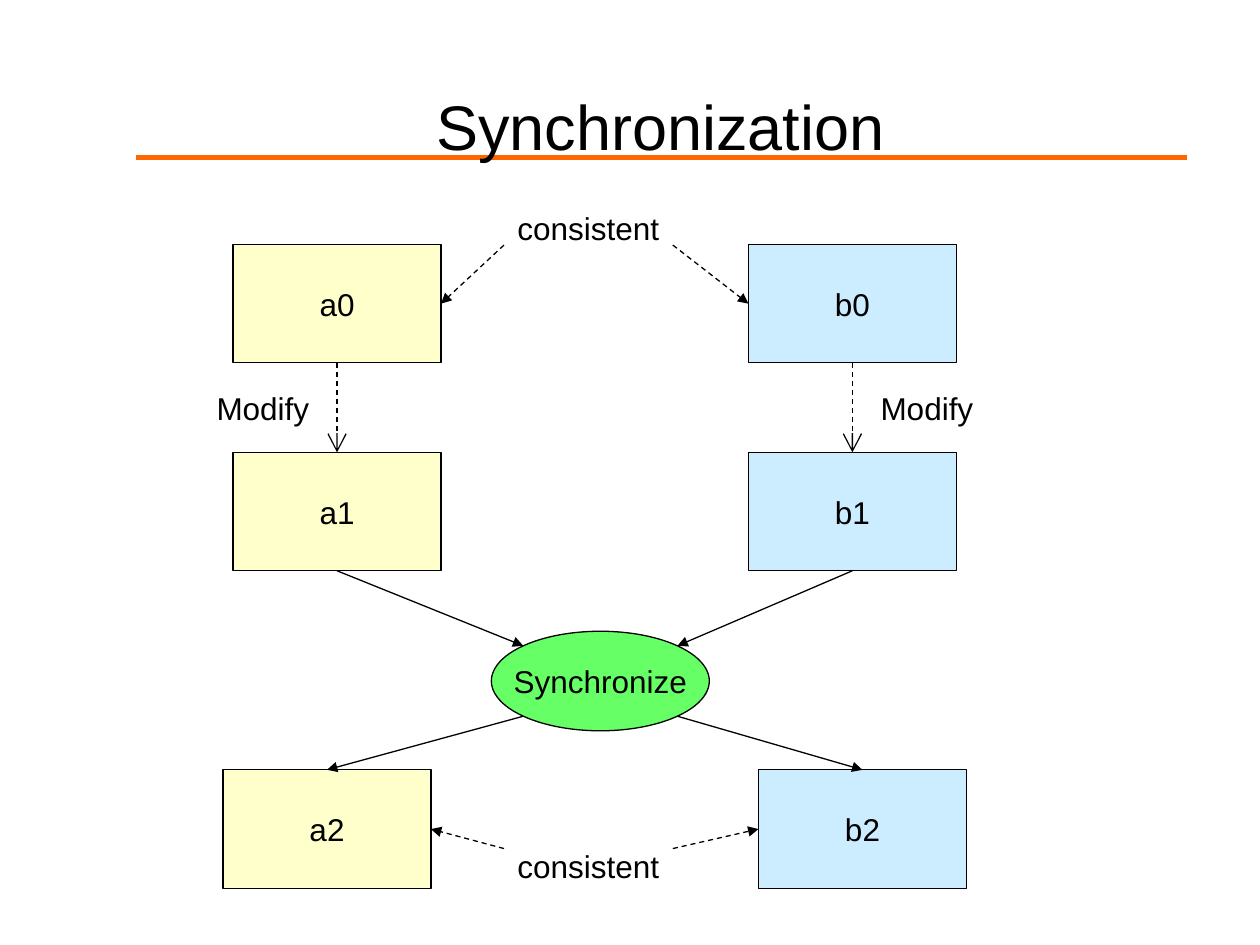
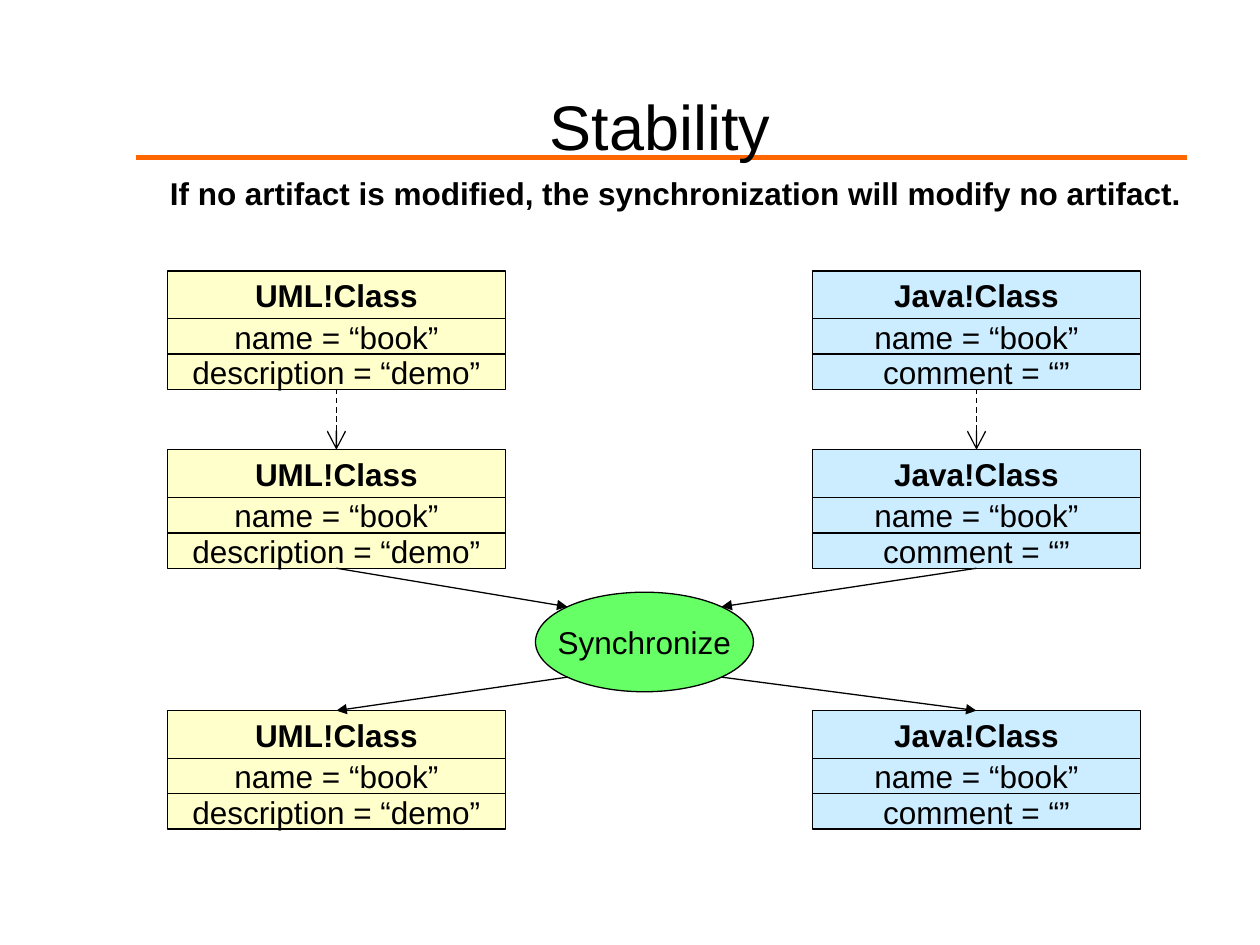
from lxml.etree import SubElement
from pptx import Presentation
from pptx.dml.color import RGBColor
from pptx.enum.dml import MSO_LINE
from pptx.enum.shapes import MSO_CONNECTOR, MSO_SHAPE
from pptx.enum.text import MSO_ANCHOR, MSO_AUTO_SIZE, PP_ALIGN
from pptx.oxml.ns import qn
from pptx.util import Inches, Pt

COLORS = {
    "ink": "000000",
    "rule": "FF6600",
    "left": "FFFFCC",
    "right": "CCECFF",
    "sync": "66FF66",
}
FONT = "Arial"
TITLE_ONLY = 5
TOP, LEFT, BOTTOM, RIGHT = range(4)
OVAL_SIZE = (1.73, 0.79)
DIAGONAL = 0.5 ** 0.5


def color(name):
    """Return the named colour."""
    return RGBColor.from_string(COLORS[name])


def style_text(shape, text, size=18, bold=False, align=PP_ALIGN.CENTER, anchor=MSO_ANCHOR.MIDDLE):
    """Write one formatted line of text into a shape."""
    frame = shape.text_frame
    frame.text = text
    frame.word_wrap = False
    frame.vertical_anchor = anchor
    paragraph = frame.paragraphs[0]
    paragraph.alignment = align
    paragraph.font.name = FONT
    paragraph.font.size = Pt(size)
    paragraph.font.bold = bold
    paragraph.font.color.rgb = color("ink")


def add_node(shapes, kind, box, text, fill, bold=False):
    """Add an outlined, filled shape with centred text."""
    node = shapes.add_shape(kind, *map(Inches, box))
    node.shadow.inherit = False
    node.fill.solid()
    node.fill.fore_color.rgb = color(fill)
    node.line.color.rgb = color("ink")
    node.line.width = Pt(0.75)
    style_text(node, text, bold=bold)
    return node


def add_label(slide, box, text, bold=False):
    """Add a left-aligned text box that fits its text."""
    label = slide.shapes.add_textbox(*map(Inches, box))
    style_text(label, text, bold=bold, align=PP_ALIGN.LEFT, anchor=MSO_ANCHOR.TOP)
    label.text_frame.auto_size = MSO_AUTO_SIZE.SHAPE_TO_FIT_TEXT


def add_line(slide, start, end, line_color="ink", width=0.75):
    """Add a plain straight line without a shadow."""
    line = slide.shapes.add_connector(MSO_CONNECTOR.STRAIGHT, *map(Inches, (*start, *end)))
    line.line.color.rgb = color(line_color)
    line.line.width = Pt(width)
    SubElement(line.element.spPr, qn("a:effectLst"))
    return line


def add_arrow(slide, start=(0, 0), end=(0, 0), source=None, target=None, dashed=False,
              head="triangle", head_size="med"):
    """Add an arrow between points or (shape, side) joints."""
    arrow = add_line(slide, start, end)
    if source:
        arrow.begin_connect(*source)
    if target:
        arrow.end_connect(*target)
    if dashed:
        arrow.line.dash_style = MSO_LINE.DASH
    line = arrow.element.spPr.find(qn("a:ln"))
    SubElement(line, qn("a:tailEnd"), type=head, w=head_size, len=head_size)


def add_modification(slide, before, after):
    """Join two states of an artifact with a dashed open arrow."""
    add_arrow(slide, source=(before, BOTTOM), target=(after, TOP), dashed=True,
              head="arrow", head_size="lg")


def add_synchronizer(slide, left, top, inputs, outputs):
    """Draw the oval with arrows from its inputs and to its outputs."""
    width, height = OVAL_SIZE
    add_node(slide.shapes, MSO_SHAPE.OVAL, (left, top, width, height), "Synchronize", "sync")
    middle_x, middle_y = left + width / 2, top + height / 2
    reach_x, reach_y = width / 2 * DIAGONAL, height / 2 * DIAGONAL
    for side, source, target in zip((-1, 1), inputs, outputs):
        x = middle_x + side * reach_x
        add_arrow(slide, end=(x, middle_y - reach_y), source=(source, BOTTOM))
        add_arrow(slide, start=(x, middle_y + reach_y), target=(target, TOP))


def add_consistency(slide, box, anchor, pair):
    """Draw the word "consistent" with dashed arrows to both artifacts."""
    left, top, width, height = box
    label = slide.shapes.add_shape(MSO_SHAPE.ROUNDED_RECTANGLE, *map(Inches, box))
    label.shadow.inherit = False
    label.fill.background()
    label.line.fill.background()
    style_text(label, "consistent", anchor=anchor)
    label.text_frame.margin_top = label.text_frame.margin_bottom = Inches(0.07)
    for x, artifact, side in zip((left, left + width), pair, (RIGHT, LEFT)):
        add_arrow(slide, start=(x, top + height / 2), target=(artifact, side), dashed=True)


def add_class_box(slide, left, top, width, rows, fill):
    """Stack a class name and its attributes; return the first and last rows."""
    group = slide.shapes.add_group_shape()
    cells = []
    for index, text in enumerate(rows):
        height = 0.28 if index else 0.38
        box = (left, top, width, height)
        cells.append(add_node(group.shapes, MSO_SHAPE.RECTANGLE, box, text, fill, bold=index == 0))
        top += height
    return cells[0], cells[-1]


def add_layout_rule(slide):
    """Draw the orange rule and move it to the layout the slides share."""
    rule = add_line(slide, (1.08, 1.25), (9.42, 1.25), "rule", 2.75)
    slide.slide_layout.shapes.element.append(rule.element)


def add_titled_slide(presentation, text):
    """Add a slide with the shared title style."""
    slide = presentation.slides.add_slide(presentation.slide_layouts[TITLE_ONLY])
    title = slide.shapes.title
    title.left, title.top, title.width, title.height = map(Inches, (0.91, 0.6, 8.66, 0.79))
    style_text(title, text, size=36)
    title.text_frame.word_wrap = True
    return slide


def build_synchronization(presentation):
    """Build the slide with the general synchronization scheme."""
    slide = add_titled_slide(presentation, "Synchronization")
    add_layout_rule(slide)
    rows = []
    for index, (top, spread) in enumerate(((1.94, 0), (3.59, 0), (6.11, 0.08))):
        rows.append([
            add_node(slide.shapes, MSO_SHAPE.RECTANGLE, (left, top, 1.65, 0.94), f"{letter}{index}", fill)
            for letter, left, fill in (("a", 1.85 - spread, "left"), ("b", 5.94 + spread, "right"))
        ])
    initial, modified, synchronized = rows
    for before, after, label_left in zip(initial, modified, (1.62, 6.89)):
        add_modification(slide, before, after)
        add_label(slide, (label_left, 3.04, 0.95, 0.4), "Modify")
    add_synchronizer(slide, 3.9, 5.01, modified, synchronized)
    add_consistency(slide, (4, 1.55, 1.34, 0.79), MSO_ANCHOR.TOP, initial)
    add_consistency(slide, (4, 6.34, 1.34, 0.79), MSO_ANCHOR.BOTTOM, synchronized)


def build_stability(presentation):
    """Build the slide with the stability example."""
    slide = add_titled_slide(presentation, "Stability")
    add_label(
        slide, (1.25, 1.33, 8.23, 0.4),
        "If no artifact is modified, the synchronization will modify no artifact.", bold=True,
    )
    columns = (
        (1.33, 2.68, ("UML!Class", "name = “book”", "description = “demo”"), "left"),
        (6.45, 2.6, ("Java!Class", "name = “book”", "comment = “”"), "right"),
    )
    inputs, outputs = [], []
    for left, width, rows, fill in columns:
        initial, modified, synchronized = [
            add_class_box(slide, left, top, width, rows, fill) for top in (2.15, 3.57, 5.64)
        ]
        add_modification(slide, initial[1], modified[0])
        inputs.append(modified[1])
        outputs.append(synchronized[0])
    add_synchronizer(slide, 4.25, 4.7, inputs, outputs)


def main():
    """Build and save the presentation."""
    presentation = Presentation()
    presentation.slide_width, presentation.slide_height = Inches(10), Inches(7.5)
    build_synchronization(presentation)
    build_stability(presentation)
    presentation.save("out.pptx")


if __name__ == "__main__":
    main()
